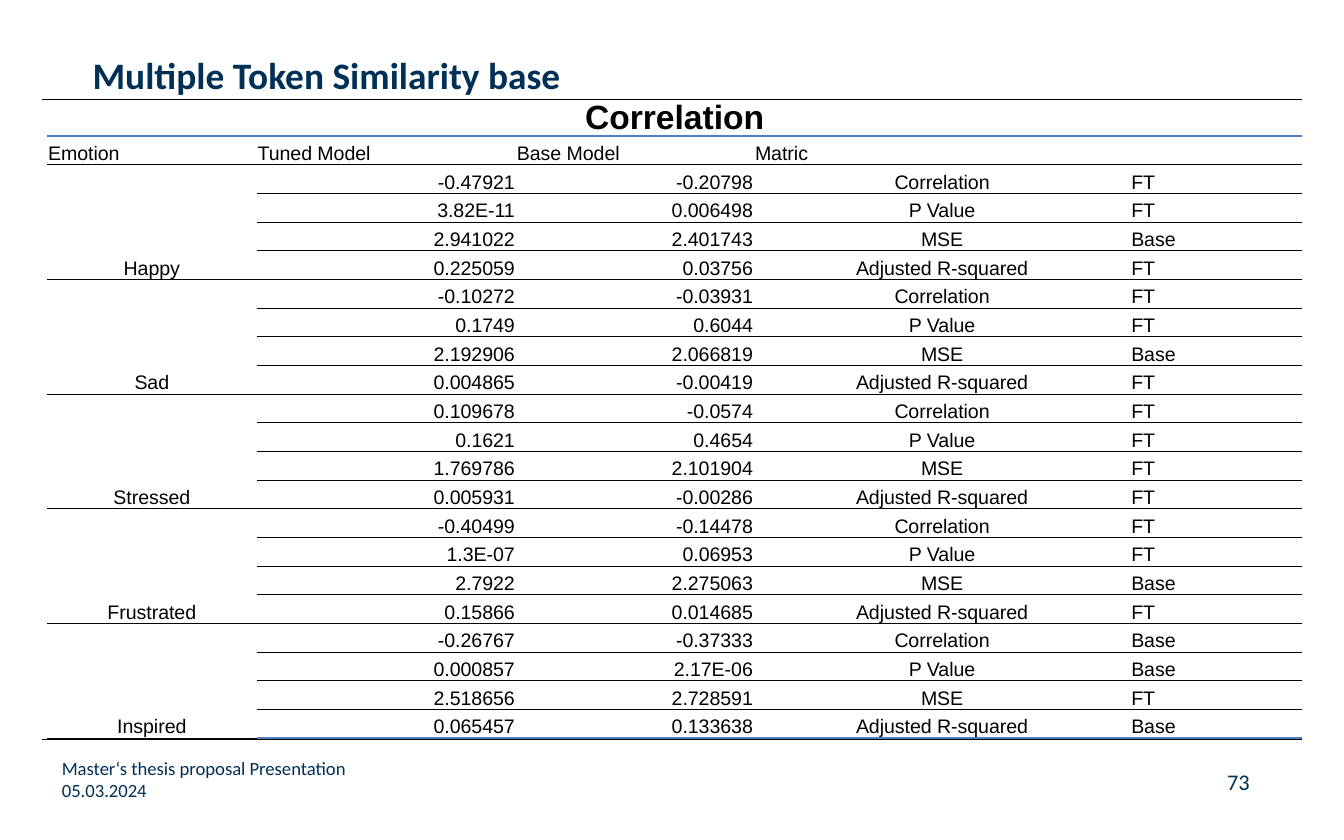
"""Build the slide comparing tuned and base models on multiple token similarity."""
from dataclasses import dataclass
from typing import NamedTuple

from lxml.etree import SubElement
from pptx import Presentation
from pptx.dml.color import RGBColor
from pptx.enum.shapes import MSO_CONNECTOR
from pptx.enum.text import MSO_ANCHOR as Anchor, PP_ALIGN as Align
from pptx.oxml.ns import qn
from pptx.util import Cm, Pt


@dataclass(frozen=True)
class Theme:
    navy: str = "003056"
    black: str = "000000"
    blue: str = "4F81BD"
    white: str = "FFFFFF"
    slide_font: str = "Calibri"
    table_font: str = "Arial"
    title: float = 20
    caption: float = 18
    page: float = 12
    body: float = 10.5
    footer: float = 10
    tight: float = 0.9


class Label(NamedTuple):
    text: str
    left: float
    top: float
    width: float
    height: float
    size: float
    bold: bool = False
    align: Align = Align.LEFT
    anchor: Anchor = Anchor.TOP
    spacing: float = 1.0


class Border(NamedTuple):
    color: str
    points: float


class Score(NamedTuple):
    tuned: str
    base: str
    better: str


class Emotion(NamedTuple):
    name: str
    scores: tuple[Score, ...]


THEME = Theme()
THIN = Border(THEME.black, 0.25)
THICK = Border(THEME.blue, 1.5)
CLOSING = Border(THEME.blue, 1)
NO_STYLE = "{2D5ABB26-0587-4C30-8999-92F81FD0307C}"

LABELS = (
    Label("Multiple Token Similarity base", 1.75, 0.84, 21.89, 1.24, THEME.title, True,
          anchor=Anchor.MIDDLE, spacing=THEME.tight),
    Label("Master‘s thesis proposal Presentation", 1.17, 14.3, 10.72, 0.51, THEME.footer),
    Label("05.03.2024", 1.17, 14.73, 7.9, 0.51, THEME.footer),
    Label("73", 19.71, 14.53, 3.91, 0.51, THEME.page, align=Align.RIGHT),
)
RULE_TOPS = (1.88, 13.98)
COLUMN_WIDTHS = (3.96, 4.9, 4.5, 7.11, 3.25)
CAPTION_HEIGHT, BODY_HEIGHT = 0.71, 11.4
HEADINGS = ("Emotion", "Tuned Model", "Base Model", "Matric", "")
METRICS = ("Correlation", "P Value", "MSE", "Adjusted R-squared")
SCORE_ALIGNS = (Align.RIGHT, Align.RIGHT, Align.CENTER, Align.LEFT)
EMOTIONS = (
    Emotion("Happy", (
        Score("-0.47921", "-0.20798", "FT"), Score("3.82E-11", "0.006498", "FT"),
        Score("2.941022", "2.401743", "Base"), Score("0.225059", "0.03756", "FT"))),
    Emotion("Sad", (
        Score("-0.10272", "-0.03931", "FT"), Score("0.1749", "0.6044", "FT"),
        Score("2.192906", "2.066819", "Base"), Score("0.004865", "-0.00419", "FT"))),
    Emotion("Stressed", (
        Score("0.109678", "-0.0574", "FT"), Score("0.1621", "0.4654", "FT"),
        Score("1.769786", "2.101904", "FT"), Score("0.005931", "-0.00286", "FT"))),
    Emotion("Frustrated", (
        Score("-0.40499", "-0.14478", "FT"), Score("1.3E-07", "0.06953", "FT"),
        Score("2.7922", "2.275063", "Base"), Score("0.15866", "0.014685", "FT"))),
    Emotion("Inspired", (
        Score("-0.26767", "-0.37333", "Base"), Score("0.000857", "2.17E-06", "Base"),
        Score("2.518656", "2.728591", "FT"), Score("0.065457", "0.133638", "Base"))),
)


def style_paragraph(paragraph, font_name: str, size: float, color: str, bold: bool,
                    align: Align, spacing: float) -> None:
    paragraph.alignment = align
    paragraph.line_spacing = spacing
    font = paragraph.font
    font.name, font.size, font.bold = font_name, Pt(size), bold
    font.color.rgb = RGBColor.from_string(color)
    if not paragraph.runs:
        SubElement(paragraph._p, qn("a:endParaRPr"), sz=str(int(size * 100)))


def draw_label(slide, label: Label) -> None:
    frame = slide.shapes.add_textbox(
        Cm(label.left), Cm(label.top), Cm(label.width), Cm(label.height)).text_frame
    frame.margin_left = frame.margin_right = frame.margin_top = frame.margin_bottom = 0
    frame.word_wrap = True
    frame.vertical_anchor = label.anchor
    frame.text = label.text
    style_paragraph(frame.paragraphs[0], THEME.slide_font, label.size, THEME.navy,
                    label.bold, label.align, label.spacing)


def draw_rule(slide, top: float) -> None:
    rule = slide.shapes.add_connector(MSO_CONNECTOR.STRAIGHT, Cm(0.79), Cm(top), Cm(24.61), Cm(top))
    rule.line.color.rgb = RGBColor.from_string(THEME.black)
    rule.line.width = Pt(0.5)
    SubElement(rule._element.spPr, qn("a:effectLst"))


def set_borders(cell, top: Border | None, bottom: Border | None) -> None:
    properties = cell._tc.get_or_add_tcPr()
    for side, border in (("L", None), ("R", None), ("T", top), ("B", bottom)):
        width = Pt(border.points) if border else 0
        edge = SubElement(properties, qn(f"a:ln{side}"), w=str(width))
        if border:
            fill = SubElement(edge, qn("a:solidFill"))
            SubElement(fill, qn("a:srgbClr"), val=border.color)
        else:
            SubElement(edge, qn("a:noFill"))


def fill_cell(cell, text: str, align: Align = Align.LEFT, top: Border | None = THIN,
              bottom: Border | None = THIN, size: float = THEME.body, bold: bool = False,
              spacing: float = 1.0) -> None:
    cell.margin_left = cell.margin_right = cell.margin_top = Cm(0.02)
    cell.margin_bottom = 0
    cell.vertical_anchor = Anchor.BOTTOM
    cell.text = text
    style_paragraph(cell.text_frame.paragraphs[0], THEME.table_font, size, THEME.black, bold, align, spacing)
    set_borders(cell, top, bottom)
    cell.fill.background()


def draw_emotion(table, first_row: int, emotion: Emotion, closing: Border) -> None:
    last_row = first_row + len(METRICS) - 1
    for row, (metric, score) in enumerate(zip(METRICS, emotion.scores), first_row):
        if row == first_row:
            fill_cell(table.cell(row, 0), emotion.name, Align.CENTER)
        else:
            fill_cell(table.cell(row, 0), "", top=None, bottom=THIN if row == last_row else None)
        values = (score.tuned, score.base, metric, score.better)
        for column, (value, align) in enumerate(zip(values, SCORE_ALIGNS), 1):
            fill_cell(table.cell(row, column), value, align, bottom=closing if row == last_row else THIN)
    table.cell(first_row, 0).merge(table.cell(last_row, 0))


def draw_table(slide) -> None:
    body_rows = 1 + len(EMOTIONS) * len(METRICS)
    frame = slide.shapes.add_table(
        body_rows + 1, len(COLUMN_WIDTHS), Cm(0.89), Cm(1.86),
        Cm(sum(COLUMN_WIDTHS)), Cm(CAPTION_HEIGHT + BODY_HEIGHT))
    table = frame.table
    table.first_row = table.horz_banding = False
    table._tbl.tblPr.find(qn("a:tableStyleId")).text = NO_STYLE
    for column, width in zip(table.columns, COLUMN_WIDTHS):
        column.width = Cm(width)
    for index, row in enumerate(table.rows):
        row.height = Cm(BODY_HEIGHT / body_rows) if index else Cm(CAPTION_HEIGHT)

    for column, heading in enumerate(HEADINGS):
        caption, size = ("", THEME.body) if column else ("Correlation", THEME.caption)
        fill_cell(table.cell(0, column), caption, Align.CENTER, None, THICK, size, True, THEME.tight)
        fill_cell(table.cell(1, column), heading, top=THICK)
    table.cell(0, 0).merge(table.cell(0, len(HEADINGS) - 1))
    for index, emotion in enumerate(EMOTIONS):
        closing = CLOSING if emotion is EMOTIONS[-1] else THIN
        draw_emotion(table, 2 + index * len(METRICS), emotion, closing)


def main() -> None:
    deck = Presentation()
    deck.slide_width, deck.slide_height = Cm(25.4), Cm(15.88)
    slide = deck.slides.add_slide(deck.slide_layouts[6])
    slide.background.fill.solid()
    slide.background.fill.fore_color.rgb = RGBColor.from_string(THEME.white)
    for top in RULE_TOPS:
        draw_rule(slide, top)
    for label in LABELS:
        draw_label(slide, label)
    draw_table(slide)
    deck.save("out.pptx")


if __name__ == "__main__":
    main()
